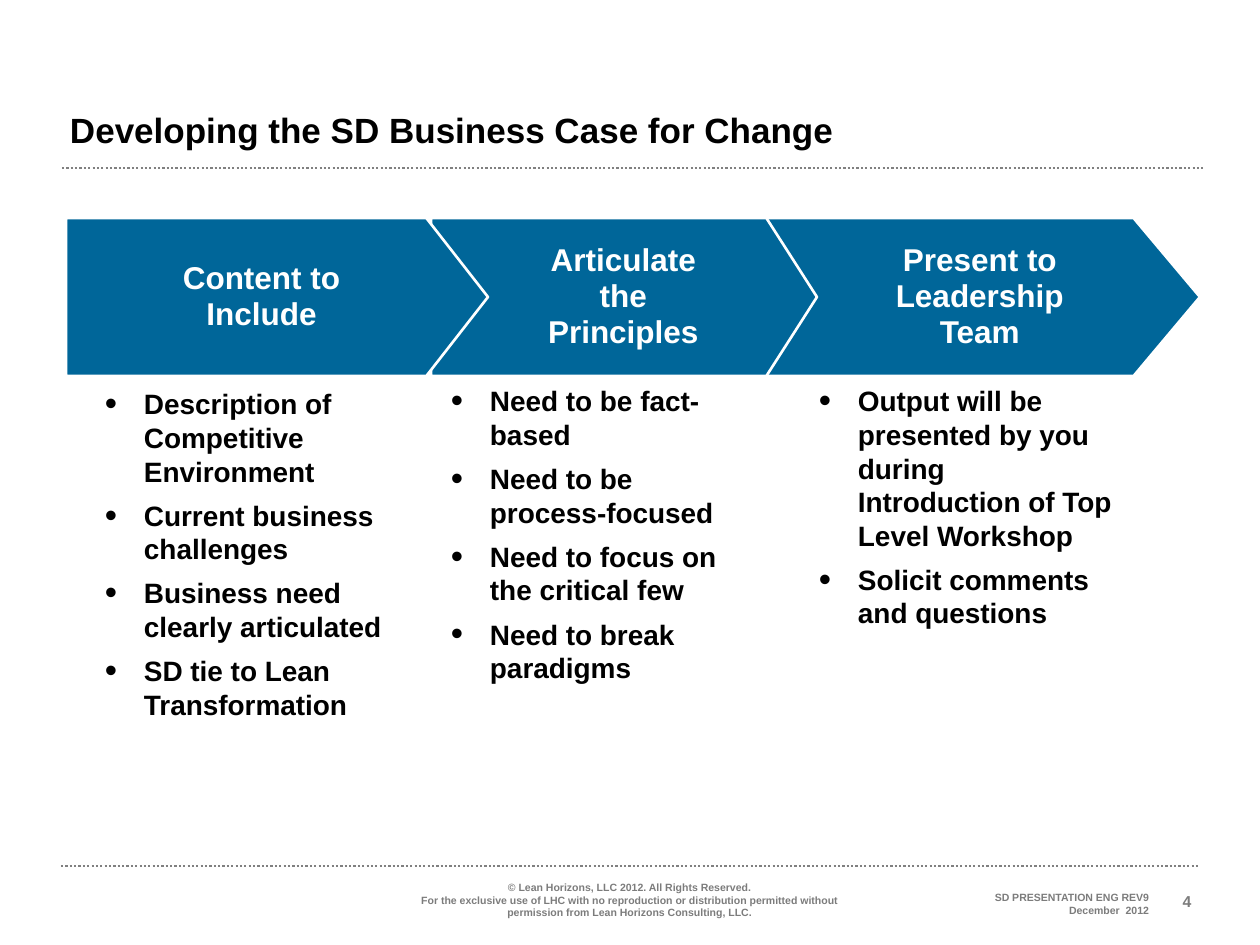
from copy import deepcopy

from lxml import etree
from pptx import Presentation
from pptx.dml.color import RGBColor
from pptx.enum.dml import MSO_LINE
from pptx.enum.shapes import MSO_CONNECTOR, MSO_SHAPE
from pptx.enum.text import MSO_ANCHOR, MSO_AUTO_SIZE, PP_ALIGN
from pptx.oxml.ns import qn
from pptx.util import Pt

LEFT, MID, RIGHT = PP_ALIGN.LEFT, PP_ALIGN.CENTER, PP_ALIGN.RIGHT
TOP, CENTRE, BASE = MSO_ANCHOR.TOP, MSO_ANCHOR.MIDDLE, MSO_ANCHOR.BOTTOM
ARROW, DOTS = MSO_SHAPE.PENTAGON, MSO_LINE.ROUND_DOT
STRAIGHT, FIXED = MSO_CONNECTOR.STRAIGHT, MSO_AUTO_SIZE.NONE

FONT = "Arial"
BLACK, WHITE, BLUE = "000000", "FFFFFF", "006699"
GREY, RULE = "7C7C7C", "808080"

# label, arrow x and width, tip, label indent, list box, points
STEPS = [
    ("Content to\nInclude", 66, 422, 0.39, 0, (95, 382, 315, 354),
     ["Description of\nCompetitive Environment",
      "Current business challenges",
      "Business need clearly articulated",
      "SD tie to Lean Transformation"]),
    ("Articulate\nthe\nPrinciples", 431, 386, 0.32, 24, (441, 379, 325, 320),
     ["Need to be fact-based",
      "Need to be process-focused",
      "Need to focus on the critical few",
      "Need to break paradigms"]),
    ("Present to\nLeadership\nTeam", 759, 441, 0.42, 34, (809, 379, 315, 260),
     ["Output will be presented by you during Introduction of Top "
      "Level Workshop",
      "Solicit comments and questions"]),
]


def px(n):
    return round(n * 914400 / 126)


def hue(code):
    return RGBColor.from_string(code)


def indent(para, left, hang=0):
    props = para._p.get_or_add_pPr()
    props.set("marL", str(px(left)))
    props.set("indent", str(px(-hang)))
    return props


def bullet(para):
    props = indent(para, 39, 39)
    for tag, key, val in (("buSzPct", "val", "125000"),
                          ("buFont", "typeface", FONT),
                          ("buChar", "char", "•")):
        etree.SubElement(props, qn("a:" + tag)).set(key, val)


def write(shape, lines, size=16, color=BLACK, align=LEFT, anchor=TOP,
          inset=(13, 6), gap=0, lead=None, shift=0, dots=False):
    frame = shape.text_frame
    frame.word_wrap = True
    frame.auto_size = FIXED
    frame.vertical_anchor = anchor
    frame.margin_left = frame.margin_right = px(inset[0])
    frame.margin_top = frame.margin_bottom = px(inset[1])
    for i, line in enumerate(lines):
        para = frame.add_paragraph() if i else frame.paragraphs[0]
        para.text = line
        if dots:
            bullet(para)
        elif shift:
            indent(para, shift)
        para.alignment = align
        para.space_before = Pt(gap if i else 0)
        if lead:
            para.line_spacing = lead
        for run in para.runs:
            font = run.font
            font.name, font.size, font.bold = FONT, Pt(size), True
            font.color.rgb = hue(color)
        # line breaks take the format of the text around them
        for brk in para._p.findall(qn("a:br")):
            brk.insert(0, deepcopy(para.runs[0]._r.rPr))


def label(slide, box, lines, **form):
    write(slide.shapes.add_textbox(*map(px, box)), lines, **form)


def rule(slide, x1, x2, y):
    line = slide.shapes.add_connector(STRAIGHT, *map(px, (x1, y, x2, y)))
    line.line.color.rgb = hue(RULE)
    line.line.width = Pt(1.25)
    line.line.dash_style = DOTS
    etree.SubElement(line._element.spPr, qn("a:effectLst"))


def arrow(slide, text, x, wide, tip, shift):
    shape = slide.shapes.add_shape(ARROW, *map(px, (x, 218, wide, 158)))
    shape.adjustments[0] = tip
    shape.shadow.inherit = False
    shape.fill.solid()
    shape.fill.fore_color.rgb = hue(BLUE)
    shape.line.color.rgb = hue(WHITE)
    shape.line.width = Pt(1.5)
    write(shape, [text], size=18, color=WHITE, align=MID, anchor=CENTRE,
          inset=(6, 6), lead=0.95, shift=shift)


def title(slide, text):
    head = slide.shapes.title
    head.left, head.top, head.width, head.height = map(px, (57, 97, 1143, 72))
    write(head, [text], size=20, anchor=CENTRE, lead=0.8)


def footer(slide):
    small = {"size": 6, "color": GREY}
    label(slide, (404, 862, 451, 63),
          ["© Lean Horizons, LLC 2012. All Rights Reserved.\n"
           "For the exclusive use of LHC with no reproduction or distribution "
           "permitted without permission from Lean Horizons Consulting, LLC."],
          align=MID, anchor=BASE, **small)
    label(slide, (911, 885, 251, 38),
          ["SD PRESENTATION ENG REV9\nDecember  2012"], align=RIGHT, **small)
    label(slide, (1154, 867, 66, 50), ["4"], size=9, color=GREY,
          align=MID, anchor=BASE)


def main():
    deck = Presentation()
    deck.slide_width, deck.slide_height = px(1260), px(945)
    slide = deck.slides.add_slide(deck.slide_layouts[5])

    # frame of the page
    title(slide, "Developing the SD Business Case for Change")
    rule(slide, 62, 1205, 168)
    rule(slide, 61, 1199, 866)
    footer(slide)

    # steps from right to left, so that each tip lies over the next arrow
    for text, x, wide, tip, shift, box, points in reversed(STEPS):
        arrow(slide, text, x, wide, tip, shift)
        label(slide, box, points, inset=(10, 5), gap=6, dots=True)

    deck.save("out.pptx")


if __name__ == "__main__":
    main()
